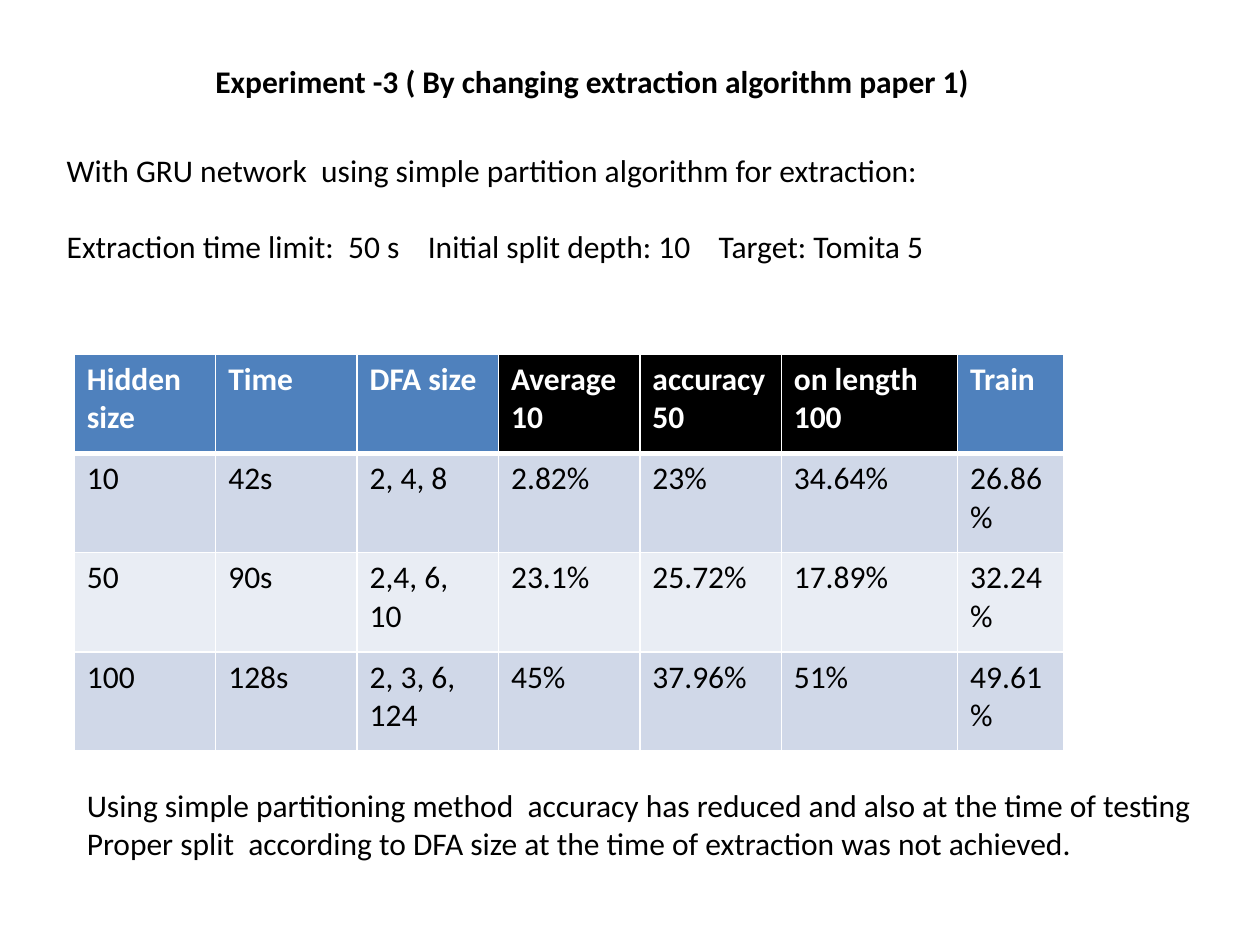
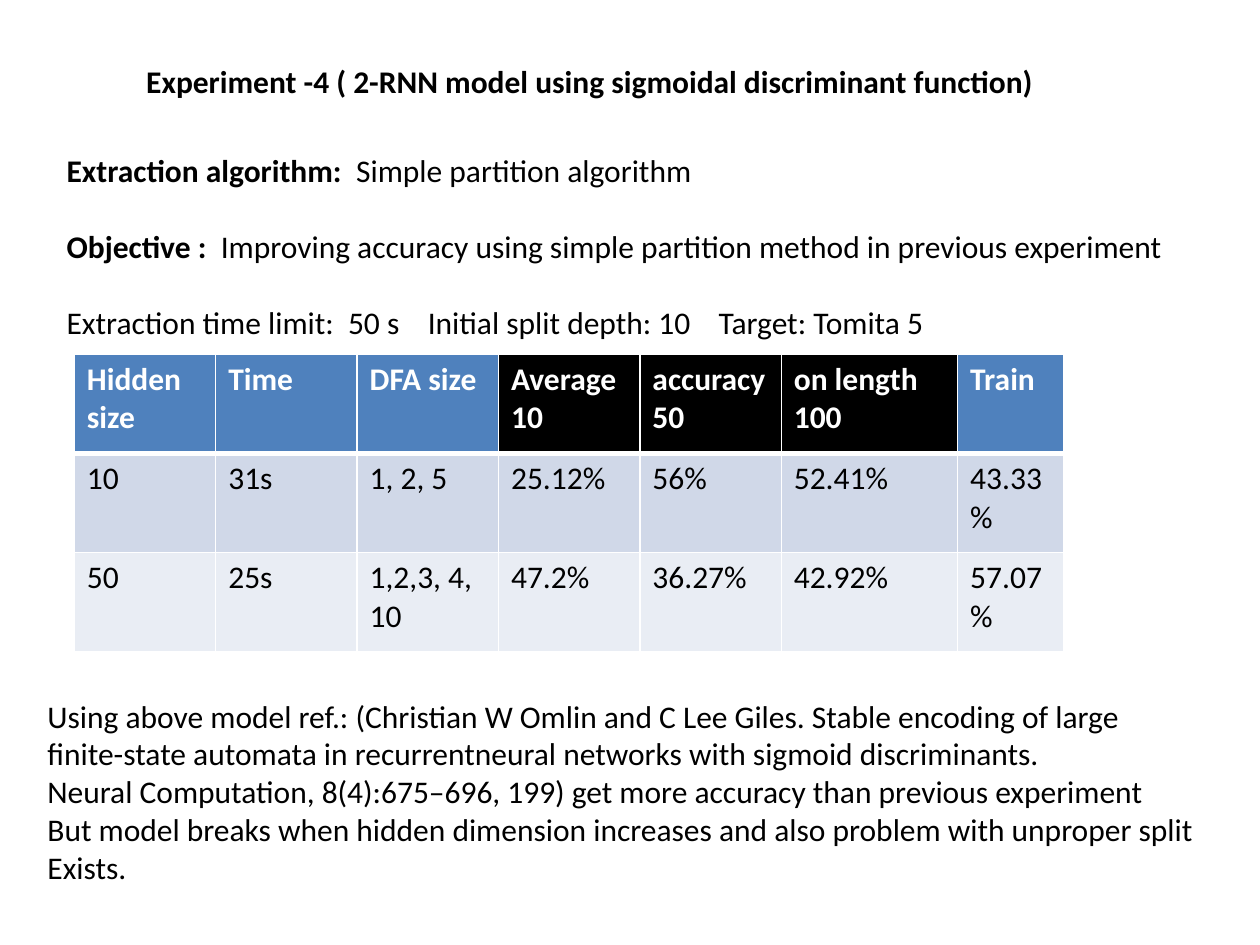
from lxml.etree import SubElement
from pptx import Presentation
from pptx.dml.color import RGBColor
from pptx.enum.text import MSO_AUTO_SIZE as AutoSize
from pptx.oxml import parse_xml
from pptx.oxml.ns import nsdecls, qn
from pptx.util import Pt

COLOURS = {
    "text": "000000",
    "light": "FFFFFF",
    "header": "4F81BD",
    "accuracy": "000000",
    "odd_row": "D0D8E8",
    "even_row": "E9EDF4",
}
FONT = {"name": "Calibri", "size": Pt(18)}
LINE_GAP = 22

# Shared table layout
TABLE_LEFT, TABLE_TOP = 42.5, 202.4
COLUMN_WIDTHS = [80.8] * 5 + [100.8, 60.8]
ROW_HEIGHT = 56.7
HEADER = ["Hidden size", "Time", "DFA size", "Average\n10", "accuracy\n50",
          "on length\n100", "Train"]
ACCURACY_COLUMNS = range(3, 6)

# Shared line of settings, set out on tab stops
SETTINGS = [("Extraction time limit:  50 s\tInitial split depth: 10\tTarget: Tomita 5",
             False)]
SETTINGS_TABS = [206.4, 372.6]


def colour(name):
    return RGBColor.from_string(COLOURS[name])


def add_run(paragraph, text, bold=False, colour_name="text"):
    run = paragraph.add_run()
    run.text = text
    for attribute, value in {**FONT, "bold": bold}.items():
        setattr(run.font, attribute, value)
    run.font.color.rgb = colour(colour_name)


def add_tab_stops(paragraph, positions):
    tab_list = SubElement(paragraph._p.get_or_add_pPr(), qn("a:tabLst"))
    for position in positions:
        SubElement(tab_list, qn("a:tab"), pos=str(Pt(position)), algn="l")


def add_text(slide, box, lines, gap=0):
    """Each line is a list of (text, bold) runs."""
    shape = slide.shapes.add_textbox(*map(Pt, box))
    frame = shape.text_frame
    for attribute, value in {"word_wrap": True, "auto_size": AutoSize.NONE}.items():
        setattr(frame, attribute, value)
    for index, line in enumerate(lines):
        paragraph = frame.paragraphs[0] if index == 0 else frame.add_paragraph()
        paragraph.space_before = Pt(gap if index else 0)
        if line is SETTINGS:
            add_tab_stops(paragraph, SETTINGS_TABS)
        for text, bold in line:
            add_run(paragraph, text, bold)


def add_title(slide, left, width, text):
    add_text(slide, (left, 31.7, width, 29), [[(text, True)]])


def add_setup(slide, width, lines):
    height = 7.2 + LINE_GAP * (2 * len(lines) - 1)
    add_text(slide, (31, 82.6, width, height), lines + [SETTINGS], LINE_GAP)


def add_conclusion(slide, left, top, width, lines):
    box = (left, top, width, 7.2 + LINE_GAP * len(lines))
    add_text(slide, box, [[(line, False)] for line in lines])


def set_borders(cell, top=1, bottom=1):
    properties = cell._tc.get_or_add_tcPr()
    widths = {"lnL": 1, "lnR": 1, "lnT": top, "lnB": bottom}
    for index, (side, width) in enumerate(widths.items()):
        properties.insert(index, parse_xml(
            f'<a:{side} {nsdecls("a")} w="{Pt(width)}"><a:solidFill>'
            f'<a:srgbClr val="{COLOURS["light"]}"/></a:solidFill></a:{side}>'))


def fill_cell(cell, text, fill_name, bold=False, colour_name="text"):
    cell.fill.solid()
    cell.fill.fore_color.rgb = colour(fill_name)
    frame = cell.text_frame
    for index, line in enumerate(text.split("\n")):
        paragraph = frame.paragraphs[0] if index == 0 else frame.add_paragraph()
        add_run(paragraph, line, bold, colour_name)


def add_results(slide, results):
    row_count = len(results) + 1
    table = slide.shapes.add_table(
        row_count, len(HEADER), Pt(TABLE_LEFT), Pt(TABLE_TOP),
        Pt(sum(COLUMN_WIDTHS)), Pt(ROW_HEIGHT * row_count)).table
    for column, width in zip(table.columns, COLUMN_WIDTHS):
        column.width = Pt(width)
    for row in table.rows:
        row.height = Pt(ROW_HEIGHT)

    # Header row, with a thick rule below it
    for index, text in enumerate(HEADER):
        fill_name = "accuracy" if index in ACCURACY_COLUMNS else "header"
        cell = table.cell(0, index)
        fill_cell(cell, text, fill_name, True, "light")
        set_borders(cell, bottom=3)

    # Banded result rows
    for row_index, values in enumerate(results, start=1):
        for index, text in enumerate(values):
            cell = table.cell(row_index, index)
            fill_cell(cell, text, "odd_row" if row_index % 2 else "even_row")
            set_borders(cell, top=3 if row_index == 1 else 1)


def build_experiment_3(slide):
    add_title(slide, 116, 449.5, "Experiment -3 ( By changing extraction algorithm paper 1)")
    add_setup(slide, 519, [
        [("With GRU network  using simple partition algorithm for extraction:", False)],
    ])
    add_results(slide, [
        ["10", "42s", "2, 4, 8", "2.82%", "23%", "34.64%", "26.86%"],
        ["50", "90s", "2,4, 6, 10", "23.1%", "25.72%", "17.89%", "32.24%"],
        ["100", "128s", "2, 3, 6, 124", "45%", "37.96%", "51%", "49.61%"],
    ])
    add_conclusion(slide, 42.5, 445.5, 658, [
        "Using simple partitioning method  accuracy has reduced and also at the time of testing",
        "Proper split  according to DFA size at the time of extraction was not achieved.",
    ])


def build_experiment_4(slide):
    add_title(slide, 76.5, 525.5,
              "Experiment -4 ( 2-RNN model using sigmoidal discriminant function)")
    add_setup(slide, 643, [
        [("Extraction algorithm:", True), ("  Simple partition algorithm", False)],
        [("Objective : ", True),
         (" Improving accuracy using simple partition method in previous experiment", False)],
    ])
    add_results(slide, [
        ["10", "31s", "1, 2, 5", "25.12%", "56%", "52.41%", "43.33%"],
        ["50", "25s", "1,2,3, 4, 10", "47.2%", "36.27%", "42.92%", "57.07%"],
    ])
    add_conclusion(slide, 20, 394.5, 682, [
        "Using above model ref.: (Christian W Omlin and C Lee Giles. Stable encoding of large",
        "finite-state automata in recurrentneural networks with sigmoid discriminants.",
        "Neural Computation, 8(4):675–696, 199) get more accuracy than previous experiment",
        "But model breaks when hidden dimension increases and also problem with unproper split",
        "Exists.",
    ])


def main():
    presentation = Presentation()
    presentation.slide_width, presentation.slide_height = Pt(720), Pt(540)
    blank_layout = presentation.slide_layouts[6]
    for build in (build_experiment_3, build_experiment_4):
        build(presentation.slides.add_slide(blank_layout))
    presentation.save("out.pptx")


main()
